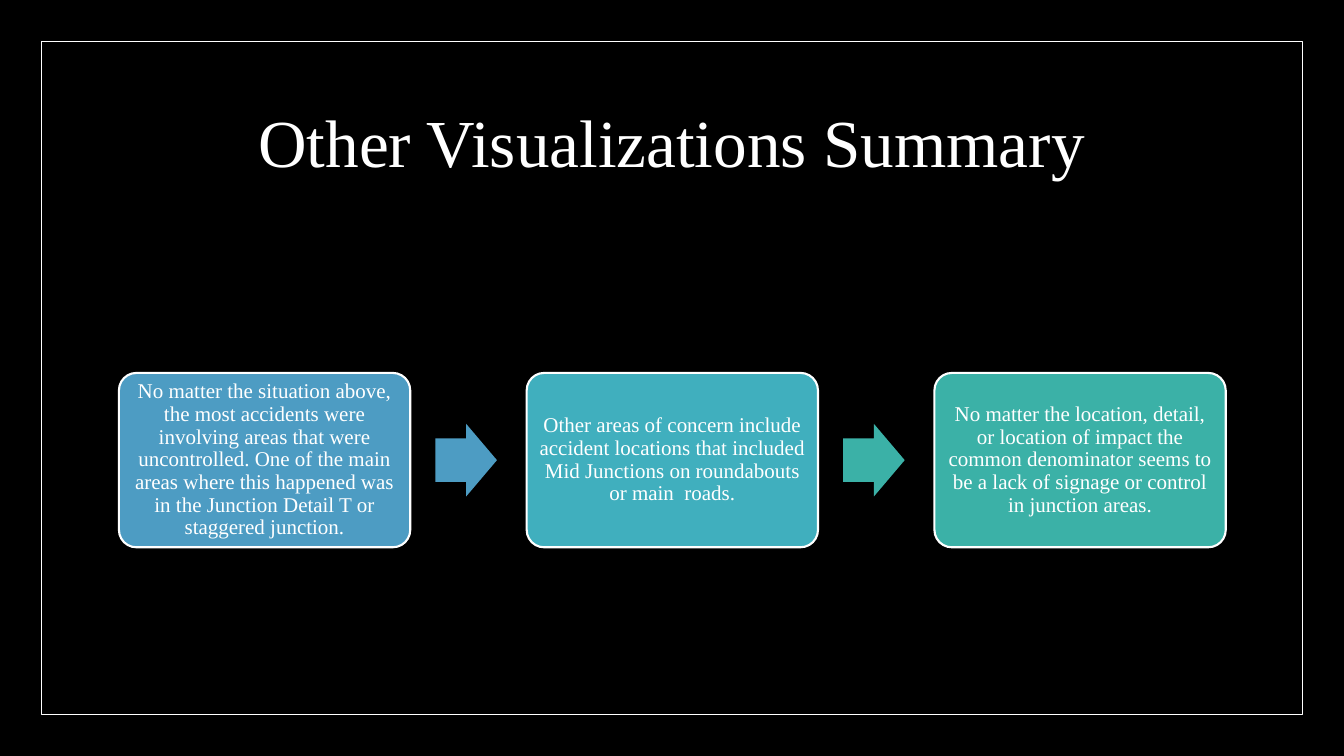
from dataclasses import dataclass

from pptx import Presentation
from pptx.dml.color import RGBColor
from pptx.enum.shapes import MSO_SHAPE as Shape
from pptx.enum.text import MSO_ANCHOR as Anchor, PP_ALIGN as Align
from pptx.util import Inches, Pt

COLUMNS, ROWS = 160, 90  # square cells on a 16:9 page

STEPS = [
    "No matter the situation above, the most accidents were involving areas "
    "that were uncontrolled. One of the main areas where this happened was "
    "in the Junction Detail T or staggered junction.",
    "Other areas of concern include accident locations that included "
    "Mid Junctions on roundabouts or main  roads.",
    "No matter the location, detail, or location of impact the common "
    "denominator seems to be a lack of signage or control in junction areas.",
]


@dataclass(frozen=True)
class Theme:
    font: str = "Times New Roman"
    background: str = "000000"
    ink: str = "FFFFFF"
    steps: tuple = ("4D9CC3", "40AFBE", "3BB1A7")
    arrows: tuple = ("4D9CC3", "3BB1A7")
    title_size: float = 48
    step_size: float = 15
    frame_line: float = 0.5
    step_line: float = 1.5


def write(box, text, *, font, size, color, inset=None):
    """Fill a box with one centred paragraph."""
    frame = box.text_frame
    frame.word_wrap = True
    frame.vertical_anchor = Anchor.MIDDLE
    if inset is not None:
        frame.margin_left = frame.margin_right = Inches(inset)
        frame.margin_top = frame.margin_bottom = Inches(inset)
    para = frame.paragraphs[0]
    para.alignment = Align.CENTER
    para.line_spacing = 0.9
    span = para.add_run()
    span.text = text
    span.font.name = font
    span.font.size = Pt(size)
    span.font.color.rgb = RGBColor.from_string(color)


class Page:
    def __init__(self, deck, theme):
        self.theme = theme
        self.cell_width = deck.slide_width / COLUMNS
        self.cell_height = deck.slide_height / ROWS
        self.slide = deck.slides.add_slide(deck.slide_layouts[6])
        fill = self.slide.background.fill
        fill.solid()
        fill.fore_color.rgb = RGBColor.from_string(theme.background)

    def place(self, column, row, width, height):
        """Turn grid cells into slide lengths."""
        return (round(column * self.cell_width), round(row * self.cell_height),
                round(width * self.cell_width), round(height * self.cell_height))

    def shape(self, kind, cells, *, fill=None, line=None, adjust=()):
        box = self.slide.shapes.add_shape(kind, *self.place(*cells))
        box.shadow.inherit = False
        for index, value in enumerate(adjust):
            box.adjustments[index] = value
        if fill:
            box.fill.solid()
            box.fill.fore_color.rgb = RGBColor.from_string(fill)
        else:
            box.fill.background()
        if line:
            box.line.width = Pt(line)
            box.line.color.rgb = RGBColor.from_string(self.theme.ink)
        else:
            box.line.fill.background()
        return box

    def frame(self, margin):
        cells = (margin, margin, COLUMNS - 2 * margin, ROWS - 2 * margin)
        self.shape(Shape.RECTANGLE, cells, line=self.theme.frame_line)

    def title(self, text, cells):
        box = self.slide.shapes.add_textbox(*self.place(*cells))
        write(box, text, font=self.theme.font, size=self.theme.title_size,
              color=self.theme.ink)

    def step(self, text, cells, color):
        box = self.shape(Shape.ROUNDED_RECTANGLE, cells, fill=color,
                         line=self.theme.step_line, adjust=(0.1,))
        write(box, text, font=self.theme.font, size=self.theme.step_size,
              color=self.theme.ink, inset=0.06)

    def arrow(self, cells, color):
        self.shape(Shape.RIGHT_ARROW, cells, fill=color, adjust=(0.6, 0.5))

    def process(self, texts, *, left, middle, pitch):
        """Draw equally spaced steps with an arrow in each gap."""
        width, height = 34.68, 20.76
        arrow_offset, arrow_width, arrow_height = 37.68, 7.32, 8.64
        for index, text in enumerate(texts):
            column = left + index * pitch
            self.step(text, (column, middle - height / 2, width, height),
                      self.theme.steps[index])
            if index < len(texts) - 1:
                self.arrow((column + arrow_offset, middle - arrow_height / 2,
                            arrow_width, arrow_height), self.theme.arrows[index])


def main():
    deck = Presentation()
    deck.slide_width, deck.slide_height = Inches(13.33), Inches(7.5)
    page = Page(deck, Theme())
    page.frame(4.92)
    page.title("Other Visualizations Summary", (14, 8.4, 132, 18))
    page.process(STEPS, left=14.16, middle=54.78, pitch=48.54)
    deck.save("out.pptx")


if __name__ == "__main__":
    main()
